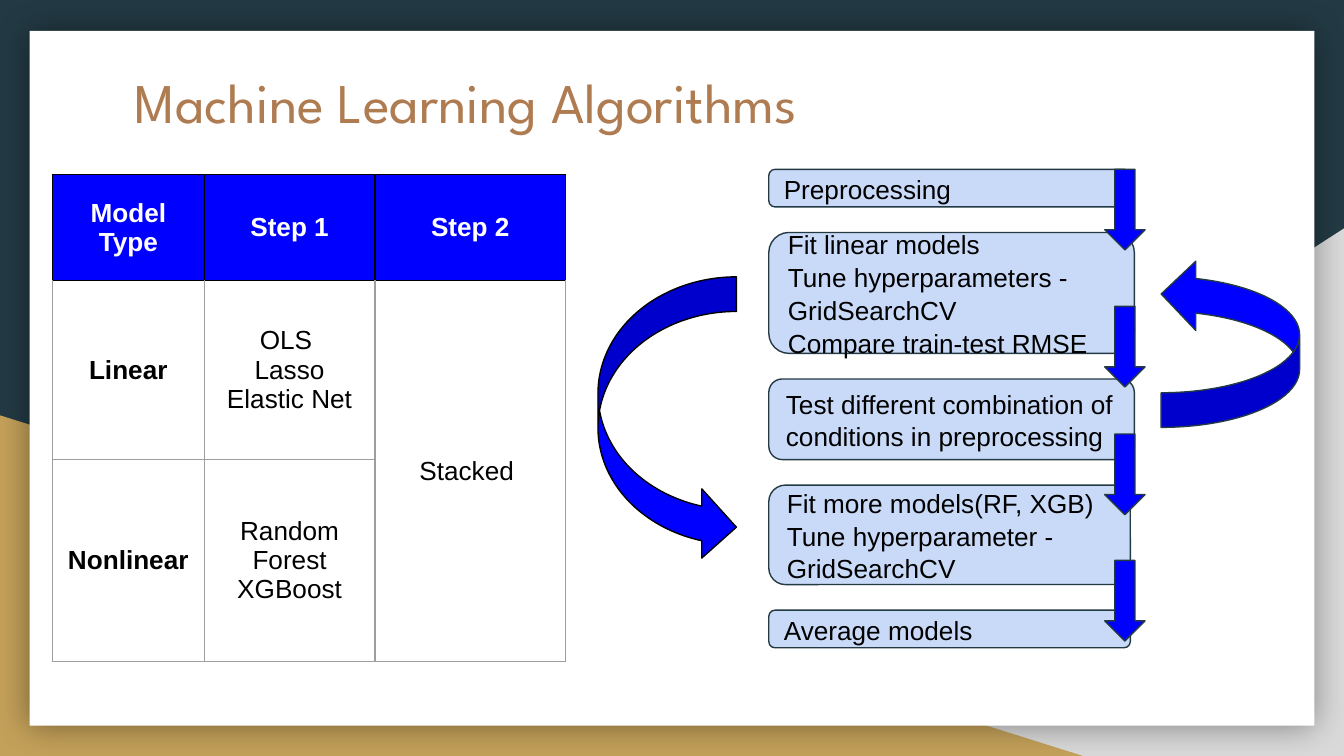
from typing import NamedTuple

from lxml.etree import SubElement as Sub
from pptx import Presentation
from pptx.dml.color import RGBColor
from pptx.enum.shapes import MSO_SHAPE as Kind
from pptx.enum.text import MSO_ANCHOR as Anchor, PP_ALIGN as Align
from pptx.oxml.ns import qn
from pptx.util import Inches, Pt

CELL = Inches(0.1)
COLS, ROWS = 100, 56.25
DARK, GOLD, GREY, WHITE = "233A44", "C4A15A", "D9D9D9", "FFFFFF"
BLUE, PALE, BLACK, EDGE, TAN = "0000FF", "C9DAF8", "000000", "9E9E9E", "AF7B51"


class Area(NamedTuple):
    """A place on the grid, in columns and rows."""
    col: float
    row: float
    wide: float
    high: float


class Step(NamedTuple):
    """One box of the flow."""
    lines: list[str]
    wide: float
    high: float


class Entry(NamedTuple):
    """One cell of the table."""
    row: int
    col: int
    lines: list[str]
    bold: bool


STEPS = [
    Step(["Preprocessing"], 26.9, 2.8),
    Step(["Fit linear models", "Tune hyperparameters - GridSearchCV",
          "Compare train-test RMSE"], 27.2, 9),
    Step(["Test different combination of conditions in preprocessing"], 27.2, 6),
    Step(["Fit more models(RF, XGB)", "Tune hyperparameter -",
          "GridSearchCV"], 26.9, 7.4),
    Step(["Average models"], 26.9, 2.8),
]
ENTRIES = [
    Entry(0, 0, ["Model Type"], True),
    Entry(0, 1, ["Step 1"], True),
    Entry(0, 2, ["Step 2"], True),
    Entry(1, 0, ["Linear"], True),
    Entry(1, 1, ["OLS ", "Lasso", "Elastic Net"], False),
    Entry(1, 2, ["Stacked "], False),
    Entry(2, 0, ["Nonlinear"], True),
    Entry(2, 1, ["Random Forest", "XGBoost"], False),
]


def grid(num: float) -> int:
    """Turn grid cells into a length."""
    return round(num * CELL)


def tint(code: str) -> RGBColor:
    """Turn a hex string into a colour."""
    return RGBColor.from_string(code)


def write(frame, lines: list[str], *, size=14, font="Arial", color=BLACK,
          bold=False, align=Align.LEFT, space=1.0) -> None:
    """Fill a text frame with formatted paragraphs."""
    frame.text = "\n".join(lines)
    for para in frame.paragraphs:
        para.alignment = align
        para.line_spacing = space
        para.font.size, para.font.name = Pt(size), font
        para.font.bold, para.font.color.rgb = bold, tint(color)


def pad(item) -> None:
    """Give a frame or cell equal margins."""
    item.margin_left = item.margin_right = CELL
    item.margin_top = item.margin_bottom = CELL


def draw(slide, kind: Kind, area: Area, fill: str, line: str = "",
         flip: bool = False, turn: int = 0):
    """Add a preset shape on the grid."""
    shape = slide.shapes.add_shape(kind, *map(grid, area))
    shape.shadow.inherit = False
    shape.fill.solid()
    shape.fill.fore_color.rgb = tint(fill)
    if line:
        shape.line.color.rgb, shape.line.width = tint(line), Pt(0.75)
    else:
        shape.line.fill.background()
    if flip:
        shape._element.spPr.find(qn("a:xfrm")).set("flipH", "1")
    shape.rotation = turn
    return shape


def glow(shape) -> None:
    """Add a soft dark shadow all round a shape."""
    group = shape._element.spPr.find(qn("a:effectLst"))
    outer = Sub(group, qn("a:outerShdw"), blurRad=str(Pt(18)), dist="0",
                dir="0", algn="ctr", rotWithShape="0")
    color = Sub(outer, qn("a:srgbClr"), val=BLACK)
    Sub(color, qn("a:alpha"), val="40000")


def rule(cell, color: str, top: str) -> None:
    """Draw the four borders of a cell."""
    props = cell._tc.get_or_add_tcPr()
    for spot, (side, code) in enumerate(
            {"L": color, "R": color, "T": top, "B": color}.items()):
        line = props.makeelement(qn(f"a:ln{side}"), {"w": str(Pt(0.75))})
        props.insert(spot, line)
        Sub(Sub(line, qn("a:solidFill")), qn("a:srgbClr"), val=code)


def scene(slide) -> None:
    """Paint the backdrop and the white card."""
    slide.background.fill.solid()
    slide.background.fill.fore_color.rgb = tint(DARK)
    draw(slide, Kind.RIGHT_TRIANGLE, Area(39.2, 17, 60.8, 39.25), GREY, flip=True)
    draw(slide, Kind.RIGHT_TRIANGLE, Area(0, 30.9, 80.6, 25.35), GOLD)
    glow(draw(slide, Kind.RECTANGLE, Area(2.2, 2.3, 95.6, 51.7), WHITE))


def head(slide) -> None:
    """Place the title above the backdrop."""
    title = slide.shapes.title
    title.left, title.top, title.width, title.height = map(
        grid, Area(9, 4, 82.1, 10.4))
    write(title.text_frame, ["Machine Learning Algorithms"], size=30,
          font="League Spartan", color=TAN)
    title.text_frame.vertical_anchor = Anchor.TOP
    pad(title.text_frame)
    slide.shapes._spTree.append(title._element)


def models(slide) -> None:
    """Build the table of model types."""
    wides, highs = [11.3, 12.7, 14.2], [7.9, 13.3, 15]
    area = Area(3.9, 13, sum(wides), sum(highs))
    table = slide.shapes.add_table(3, 3, *map(grid, area)).table
    table.first_row = table.horz_banding = False
    for col, wide in zip(table.columns, wides):
        col.width = grid(wide)
    for row, high in zip(table.rows, highs):
        row.height = grid(high)
    table.cell(1, 2).merge(table.cell(2, 2))
    for cell in table.iter_cells():
        cell.fill.background()
    for entry in ENTRIES:
        cell, first = table.cell(entry.row, entry.col), entry.row == 0
        write(cell.text_frame, entry.lines, bold=entry.bold,
              color=WHITE if first else BLACK, align=Align.CENTER)
        cell.vertical_anchor = Anchor.MIDDLE
        pad(cell)
        if first:
            cell.fill.solid()
            cell.fill.fore_color.rgb = tint(BLUE)
        rule(cell, BLACK if first else EDGE, BLACK if entry.row < 2 else EDGE)
    rule(table.cell(2, 2), EDGE, EDGE)


def flow(slide) -> None:
    """Stack the steps and join them with arrows."""
    row, gap = 12.6, 1.9
    for step in STEPS:
        box = draw(slide, Kind.FLOWCHART_ALTERNATE_PROCESS,
                   Area(57.2, row, step.wide, step.high), PALE, DARK)
        write(box.text_frame, step.lines, space=1.05)
        box.text_frame.word_wrap = True
        box.text_frame.vertical_anchor = Anchor.MIDDLE
        pad(box.text_frame)
        row += step.high + gap
    draw(slide, Kind.CURVED_LEFT_ARROW, Area(44.5, 20.6, 10.3, 21.2),
         BLUE, BLACK, flip=True)
    draw(slide, Kind.CURVED_LEFT_ARROW, Area(86.4, 19.3, 10.3, 12.5),
         BLUE, DARK, flip=True, turn=180)
    for top in (12.6, 22.8, 32.3, 41.7):
        draw(slide, Kind.DOWN_ARROW, Area(82.2, top, 3, 6), BLUE, DARK)


def main() -> None:
    """Build and save the slide."""
    deck = Presentation()
    deck.slide_width, deck.slide_height = grid(COLS), grid(ROWS)
    slide = deck.slides.add_slide(deck.slide_layouts[5])
    for part in (scene, head, models, flow):
        part(slide)
    deck.save("out.pptx")


if __name__ == "__main__":
    main()
